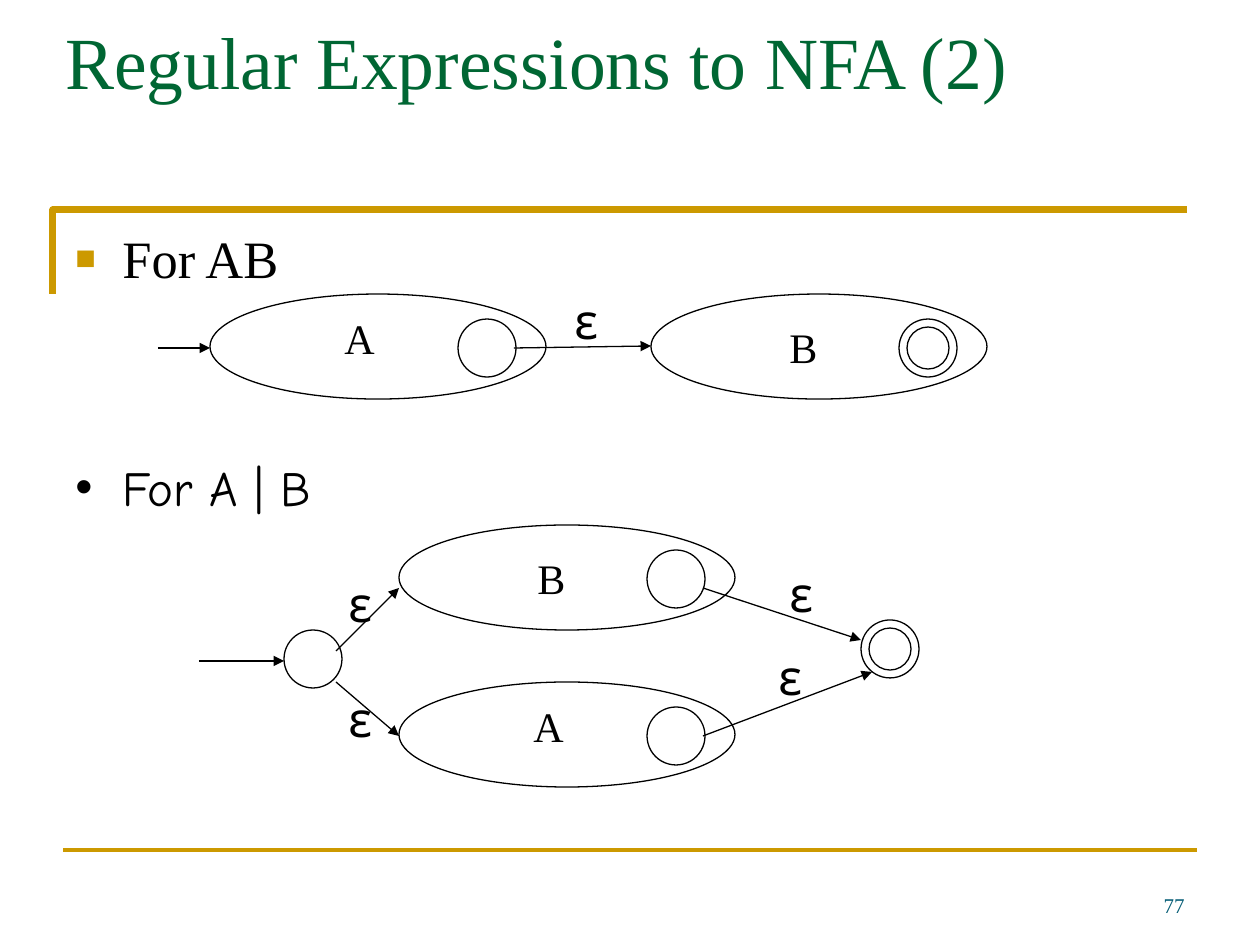
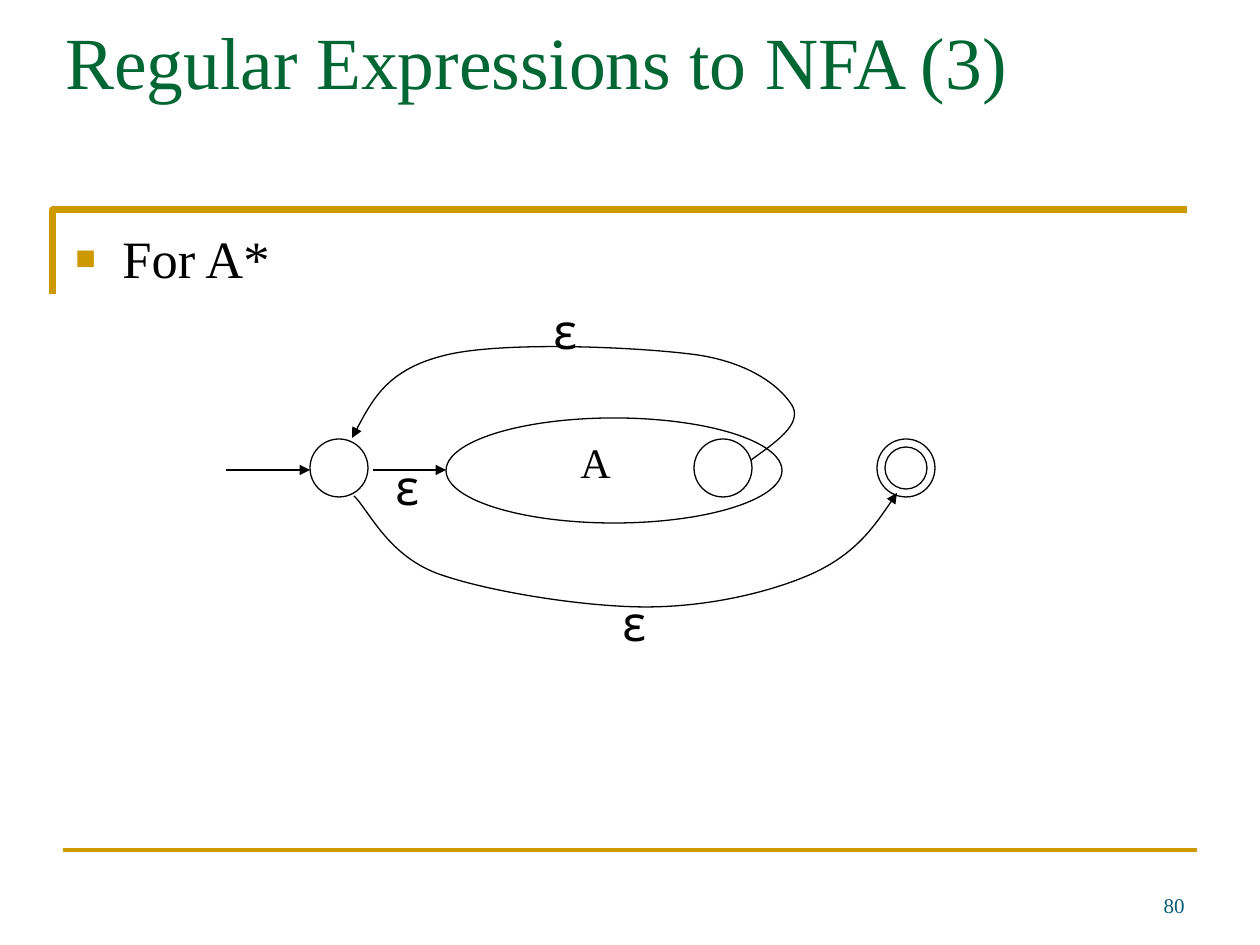
from lxml.etree import SubElement
from pptx import Presentation
from pptx.dml.color import RGBColor
from pptx.enum.shapes import MSO_CONNECTOR, MSO_SHAPE
from pptx.enum.text import MSO_ANCHOR, PP_ALIGN
from pptx.oxml.ns import qn
from pptx.util import Pt

UNIT = 914400 / 126
SERIF = "Times New Roman"
COMIC = "Comic Neue"
BLACK = "000000"
GOLD = "CC9900"
GREEN = "006633"
TEAL = "045C75"
RING = 58
INSET = 8
LABELS = {"A": (122, 12, 55), "B": (126, 21, 53)}


def px(*sizes):
    return [round(size * UNIT) for size in sizes]


def tint(code):
    return RGBColor.from_string(code)


class Deck:
    def __init__(self):
        self.file = Presentation()
        self.file.slide_width, self.file.slide_height = px(1260, 945)
        self.shapes = None

    def start(self, title, number):
        slide = self.file.slides.add_slide(self.file.slide_layouts[6])
        self.shapes = slide.shapes
        self.trace([(53, 294), (53, 210), (1187, 210)], GOLD, 4)
        self.join((63, 850), (1197, 850), GOLD, 2)
        page = self.text(number, (903, 861, 294, 63), 12, color=TEAL)
        page.text_frame.vertical_anchor = MSO_ANCHOR.BOTTOM
        page.text_frame.paragraphs[0].alignment = PP_ALIGN.RIGHT
        self.text(title, (53, 10, 1134, 158), 42, color=GREEN)

    def text(self, words, area, size, face=SERIF, color=BLACK, wrap=True, mark=None):
        box = self.shapes.add_textbox(*px(*area))
        box.text_frame.word_wrap = wrap
        para = box.text_frame.paragraphs[0]
        para.text = words
        if mark:
            self.bullet(para, *mark)
        para.font.size = Pt(size)
        para.font.name = face
        para.font.color.rgb = tint(color)
        return box

    def bullet(self, para, sign, color, size):
        props = para._p.get_or_add_pPr()
        indent = px(47)[0]
        props.set("marL", str(indent))
        props.set("indent", str(-indent))
        fill = SubElement(props, qn("a:buClr"))
        SubElement(fill, qn("a:srgbClr"), val=color)
        SubElement(props, qn("a:buSzPct"), val=str(size * 1000))
        SubElement(props, qn("a:buFont"), typeface="Arial")
        SubElement(props, qn("a:buChar"), char=sign)

    def point(self, words, top=220, size=30, face=SERIF, mark=("■", GOLD, 65)):
        self.text(words, (63, top, 1144, 73), size, face, mark=mark)

    def stroke(self, shape, color=BLACK, width=0.75, arrow=False):
        shape.line.color.rgb = tint(color)
        shape.line.width = Pt(width)
        if arrow:
            SubElement(shape.line._get_or_add_ln(), qn("a:tailEnd"), type="triangle")
        SubElement(shape._element.spPr, qn("a:effectLst"))

    def join(self, start, end, color=BLACK, width=0.75, arrow=False):
        line = self.shapes.add_connector(MSO_CONNECTOR.STRAIGHT, *px(*start, *end))
        self.stroke(line, color, width, arrow)

    def arrow(self, start, end):
        self.join(start, end, arrow=True)

    def trace(self, spots, color=BLACK, width=0.75, curve=False):
        pen = self.shapes.build_freeform(*spots[0], scale=UNIT)
        pen.add_line_segments(spots[1:], close=False)
        shape = pen.convert_to_shape()
        shape.fill.background()
        if curve:
            self.bend(shape)
        self.stroke(shape, color, width, arrow=curve)

    def bend(self, shape):
        legs = list(shape._element.iter(qn("a:lnTo")))
        track = legs[0].getparent()
        for first in range(0, len(legs), 3):
            arc = SubElement(track, qn("a:cubicBezTo"))
            for leg in legs[first:first + 3]:
                arc.append(leg[0])
                track.remove(leg)

    def oval(self, left, top, width, height):
        shape = self.shapes.add_shape(MSO_SHAPE.OVAL, *px(left, top, width, height))
        shape.fill.background()
        self.stroke(shape)

    def state(self, left, top, final=False):
        self.oval(left, top, RING, RING)
        if final:
            inner = RING - 2 * INSET
            self.oval(left + INSET, top + INSET, inner, inner)

    def machine(self, name, left, top, drop=25, final=False):
        self.oval(left, top, 336, 105)
        across, down, width = LABELS[name]
        self.text(name, (left + across, top + down, width, 63), 24, wrap=False)
        self.state(left + 248, top + drop, final)

    def empty(self, *spots):
        for left, top in spots:
            self.text("ε", (left, top, 47, 72), 28, COMIC, wrap=False)


def main():
    deck = Deck()

    deck.start("Regular Expressions to NFA (2)", "77")
    deck.point("For AB")
    deck.machine("A", 210, 294)
    deck.machine("B", 651, 294, final=True)
    deck.arrow((158, 348), (210, 348))
    deck.arrow((514, 348), (651, 346))
    deck.empty((562, 284))

    deck.point("For A | B", 451, 28, COMIC, ("•", BLACK, 100))
    deck.machine("B", 399, 525)
    deck.machine("A", 399, 682)
    deck.state(284, 630)
    deck.state(861, 620, final=True)
    deck.arrow((199, 661), (284, 661))
    deck.arrow((336, 651), (399, 588))
    deck.arrow((336, 682), (399, 736))
    deck.arrow((703, 588), (861, 640))
    deck.arrow((703, 736), (872, 672))
    deck.empty((336, 567), (336, 682), (777, 557), (766, 640))

    deck.start("Regular Expressions to NFA (3)", "80")
    deck.point("For A*")
    deck.machine("A", 446, 418, drop=21)
    deck.state(310, 439)
    deck.state(877, 439, final=True)
    deck.arrow((226, 470), (310, 470))
    deck.arrow((373, 470), (446, 470))
    skip = [(354, 496), (368, 509), (387, 554), (436, 573), (484, 591),
            (583, 607), (646, 607), (709, 607), (772, 592), (814, 573),
            (856, 553), (877, 523), (897, 493)]
    loop = [(751, 460), (776, 442), (801, 425), (793, 407), (784, 391),
            (756, 364), (698, 355), (640, 347), (504, 341), (446, 355),
            (388, 369), (370, 404), (352, 438)]
    for spots in (skip, loop):
        deck.trace(spots, curve=True)
    deck.empty((383, 450), (610, 586), (541, 294))

    deck.file.save("out.pptx")


if __name__ == "__main__":
    main()
